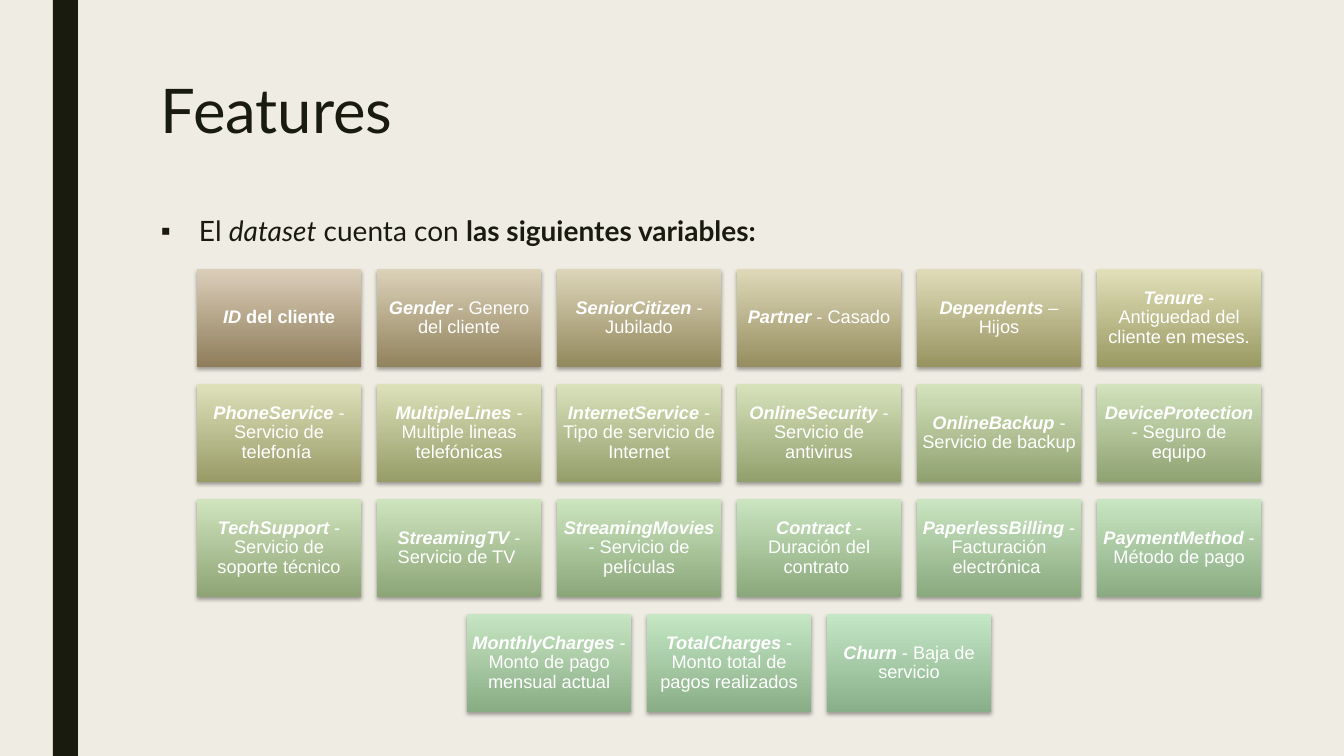
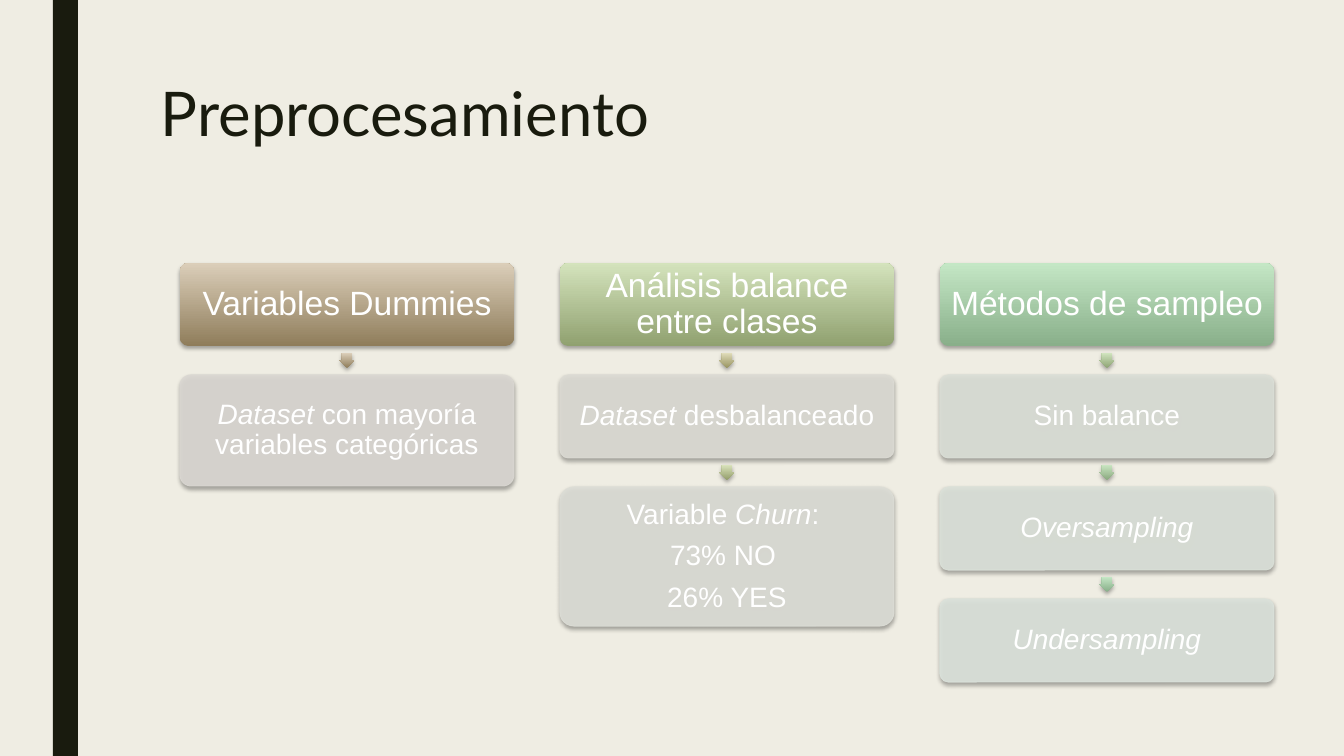
from dataclasses import dataclass

from lxml.etree import SubElement
from pptx import Presentation
from pptx.dml.color import RGBColor
from pptx.enum.shapes import MSO_SHAPE
from pptx.enum.text import MSO_ANCHOR, PP_ALIGN
from pptx.oxml.ns import qn
from pptx.presentation import Presentation as Deck
from pptx.shapes.autoshape import Shape
from pptx.slide import Slide
from pptx.text.text import TextFrame
from pptx.util import Emu, Pt

EMU_PER_PX = 914400 / 100.8


def px(length: float) -> Emu:
    return Emu(round(length * EMU_PER_PX))


@dataclass(frozen=True)
class Theme:
    paper: str = "EFEDE3"
    ink: str = "191B0E"
    white: str = "FFFFFF"
    shadow: str = "000000"
    # Dark and light ends of the gradients, evenly spaced along the ramp
    dark_ramp: tuple[str, ...] = ("8F7D5B", "9A9A63", "90A170", "8AA87C", "89AF8A")
    light_ramp: tuple[str, ...] = ("DBCEB9", "E1E0B9", "D4E3BC", "CAE5C0", "C4E7C5")
    detail_fills: tuple[str, ...] = (
        "DAD7D2", "DCDBD4", "DCDDD6", "DBDFD7", "DBE1D9", "DBE2DB")
    heading_font: str = "Lato"
    box_font: str = "Arial"
    title_size: int = 44
    lead_size: int = 20
    feature_size: int = 13
    step_size: int = 24
    detail_size: int = 20


THEME = Theme()


@dataclass(frozen=True)
class Box:
    left: float
    top: float
    width: float
    height: float


@dataclass(frozen=True)
class Run:
    text: str
    italic: bool = False
    bold: bool = False


@dataclass(frozen=True)
class TextStyle:
    font: str
    size: int
    color: str
    align: PP_ALIGN = PP_ALIGN.LEFT
    anchor: MSO_ANCHOR = MSO_ANCHOR.TOP
    line_spacing: float = 1.0
    space_after: int = 0
    inset_x: int = 10
    inset_y: int = 5


@dataclass(frozen=True)
class Feature:
    term: str
    gloss: str
    bold_gloss: bool = False


@dataclass(frozen=True)
class Detail:
    height: int
    paragraphs: tuple[tuple[Run, ...], ...]


@dataclass(frozen=True)
class Track:
    heading: str
    details: tuple[Detail, ...]


def box_style(size: int, inset: int) -> TextStyle:
    return TextStyle(THEME.box_font, size, THEME.white, PP_ALIGN.CENTER,
                     MSO_ANCHOR.MIDDLE, 0.9, 8, inset, inset)


FEATURE_STYLE = box_style(THEME.feature_size, 5)
STEP_STYLE = box_style(THEME.step_size, 3)
DETAIL_STYLE = box_style(THEME.detail_size, 3)
LEAD_STYLE = TextStyle(THEME.heading_font, THEME.lead_size, THEME.ink,
                       PP_ALIGN.JUSTIFY)

FEATURES = (
    Feature("ID", " del cliente", bold_gloss=True),
    Feature("Gender", " - Genero del cliente"),
    Feature("SeniorCitizen", " - Jubilado"),
    Feature("Partner", " - Casado"),
    Feature("Dependents", " – Hijos"),
    Feature("Tenure", " - Antiguedad del cliente en meses."),
    Feature("PhoneService", " - Servicio de telefonía "),
    Feature("MultipleLines", " - Multiple lineas telefónicas"),
    Feature("InternetService", " - Tipo de servicio de Internet"),
    Feature("OnlineSecurity", " - Servicio de antivirus"),
    Feature("OnlineBackup", " - Servicio de backup"),
    Feature("DeviceProtection", " - Seguro de equipo"),
    Feature("TechSupport", " - Servicio de soporte técnico"),
    Feature("StreamingTV", " - Servicio de TV "),
    Feature("StreamingMovies", " - Servicio de películas"),
    Feature("Contract", " - Duración del contrato "),
    Feature("PaperlessBilling", " - Facturación electrónica "),
    Feature("PaymentMethod", " - Método de pago"),
    Feature("MonthlyCharges", " - Monto de pago mensual actual"),
    Feature("TotalCharges", " - Monto total de pagos realizados"),
    Feature("Churn", " - Baja de servicio"),
)

TRACKS = (
    Track("Variables Dummies", (
        Detail(111, ((Run("Dataset", italic=True),
                      Run(" con mayoría variables categóricas")),)),
    )),
    Track("Análisis balance entre clases", (
        Detail(83, ((Run("Dataset", italic=True), Run(" desbalanceado")),)),
        Detail(139, ((Run("Variable "), Run("Churn", italic=True), Run(": ")),
                     (Run("73% NO "),),
                     (Run("26% YES"),))),
    )),
    Track("Métodos de sampleo", (
        Detail(83, ((Run("Sin balance"),),)),
        Detail(83, ((Run("Oversampling", italic=True),),)),
        Detail(83, ((Run("Undersampling", italic=True),),)),
    )),
)


def rgb(color: str) -> RGBColor:
    return RGBColor.from_string(color)


def ramp_color(stops: tuple[str, ...], share: float) -> RGBColor:
    """Blend between the two neighbouring stops; share runs from 0 to 1."""
    place = share * (len(stops) - 1)
    start = min(int(place), len(stops) - 2)
    pairs = zip(rgb(stops[start]), rgb(stops[start + 1]))
    return RGBColor(*(round(a + (b - a) * (place - start)) for a, b in pairs))


# Text
def write(frame: TextFrame, paragraphs: tuple[tuple[Run, ...], ...],
          style: TextStyle) -> None:
    frame_format = {
        "word_wrap": True,
        "vertical_anchor": style.anchor,
        "margin_left": px(style.inset_x),
        "margin_right": px(style.inset_x),
        "margin_top": px(style.inset_y),
        "margin_bottom": px(style.inset_y),
    }
    paragraph_format = {
        "alignment": style.align,
        "line_spacing": style.line_spacing,
        "space_after": Pt(style.space_after),
    }
    for name, value in frame_format.items():
        setattr(frame, name, value)
    for index, runs in enumerate(paragraphs):
        paragraph = frame.add_paragraph() if index else frame.paragraphs[0]
        for name, value in paragraph_format.items():
            setattr(paragraph, name, value)
        for run in runs:
            piece = paragraph.add_run()
            piece.text = run.text
            piece.font.color.rgb = rgb(style.color)
            font_format = {"name": style.font, "size": Pt(style.size),
                           "bold": run.bold, "italic": run.italic}
            for name, value in font_format.items():
                setattr(piece.font, name, value)


def add_text(slide: Slide, box: Box, runs: tuple[Run, ...],
             style: TextStyle) -> TextFrame:
    frame = slide.shapes.add_textbox(
        px(box.left), px(box.top), px(box.width), px(box.height)).text_frame
    write(frame, (runs,), style)
    return frame


def add_bullet(frame: TextFrame, indent: int) -> None:
    properties = frame.paragraphs[0]._p.get_or_add_pPr()
    properties.set("marL", str(px(indent)))
    properties.set("indent", str(-px(indent)))
    color = SubElement(properties, qn("a:buClr"))
    SubElement(color, qn("a:srgbClr"), val=THEME.ink)
    SubElement(properties, qn("a:buFont"), typeface=THEME.box_font)
    SubElement(properties, qn("a:buChar"), char="▪")


# Shapes
def add_shape(slide: Slide, kind: MSO_SHAPE, box: Box,
              adjustments: tuple[float, ...] = ()) -> Shape:
    shape = slide.shapes.add_shape(
        kind, px(box.left), px(box.top), px(box.width), px(box.height))
    shape.shadow.inherit = False
    shape.line.fill.background()
    for index, value in enumerate(adjustments):
        shape.adjustments[index] = value
    return shape


def add_shadow(shape: Shape) -> None:
    effects = shape._element.spPr.find(qn("a:effectLst"))
    shadow = SubElement(effects, qn("a:outerShdw"), blurRad=str(Pt(3.1)),
                        dist=str(Pt(1.8)), dir="5400000", rotWithShape="0")
    color = SubElement(shadow, qn("a:srgbClr"), val=THEME.shadow)
    SubElement(color, qn("a:alpha"), val="35000")


def add_gradient_shape(slide: Slide, kind: MSO_SHAPE, box: Box, share: float,
                       adjustments: tuple[float, ...] = ()) -> Shape:
    shape = add_shape(slide, kind, box, adjustments)
    shape.fill.gradient()
    shape.fill.gradient_angle = 90
    ramps = (THEME.dark_ramp, THEME.light_ramp)
    for stop, ramp in zip(shape.fill.gradient_stops, ramps):
        stop.color.rgb = ramp_color(ramp, share)
    add_shadow(shape)
    return shape


def add_detail_shape(slide: Slide, box: Box, color: str) -> Shape:
    shape = add_shape(slide, MSO_SHAPE.ROUNDED_RECTANGLE, box, (0.1,))
    shape.line.width = Pt(0.75)
    for fill in (shape.fill, shape.line.fill):
        fill.solid()
        fill.fore_color.rgb = rgb(color)
    for tint in shape._element.spPr.findall(".//" + qn("a:srgbClr")):
        SubElement(tint, qn("a:alpha"), val="90000")
    add_shadow(shape)
    return shape


# Shared slide frame: side band and title
def add_slide(deck: Deck, title: str, title_spacing: float) -> Slide:
    slide = deck.slides.add_slide(deck.slide_layouts[6])
    band = add_shape(slide, MSO_SHAPE.RECTANGLE, Box(53, 0, 25, 756))
    band.fill.solid()
    band.fill.fore_color.rgb = rgb(THEME.ink)
    style = TextStyle(THEME.heading_font, THEME.title_size, THEME.ink,
                      line_spacing=title_spacing)
    add_text(slide, Box(151, 76, 1058, 90), (Run(title),), style)
    return slide


def build_features(deck: Deck) -> None:
    slide = add_slide(deck, "Features", 0.89)
    lead = (Run("El "), Run("dataset", italic=True), Run(" cuenta con "),
            Run("las siguientes variables:", bold=True))
    add_bullet(add_text(slide, Box(151, 209, 1058, 45), lead, LEAD_STYLE), 38)

    # Grid of cards, each row centred
    columns, center, top = 6, 729, 269
    width, height, gap = 164, 98, 16
    for index, feature in enumerate(FEATURES):
        row, column = divmod(index, columns)
        in_row = min(columns, len(FEATURES) - row * columns)
        left = center - (in_row * (width + gap) - gap) / 2
        box = Box(left + column * (width + gap), top + row * (height + gap + 1),
                  width, height)
        card = add_gradient_shape(slide, MSO_SHAPE.RECTANGLE, box,
                                  index / (len(FEATURES) - 1))
        runs = (Run(feature.term, italic=True, bold=True),
                Run(feature.gloss, bold=feature.bold_gloss))
        write(card.text_frame, (runs,), FEATURE_STYLE)


def build_preprocessing(deck: Deck) -> None:
    slide = add_slide(deck, "Preprocesamiento", 0.94)
    left, top, width, step_height, pitch = 180, 263, 334, 83, 380
    gap, arrow = 29, 15
    fills = THEME.detail_fills
    count = 0
    for column, track in enumerate(TRACKS):
        # Step heading
        x = left + column * pitch
        step = add_gradient_shape(
            slide, MSO_SHAPE.ROUNDED_RECTANGLE, Box(x, top, width, step_height),
            column / (len(TRACKS) - 1), (0.1,))
        write(step.text_frame, ((Run(track.heading),),), STEP_STYLE)

        # Details below it, each led in by an arrow
        bottom = top + step_height
        for detail in track.details:
            arrow_box = Box(x + (width - arrow) / 2, bottom + (gap - arrow) / 2,
                            arrow, arrow)
            add_gradient_shape(slide, MSO_SHAPE.DOWN_ARROW, arrow_box,
                               count / (len(fills) - 1), (0.67, 0.5))
            box = Box(x, bottom + gap, width, detail.height)
            card = add_detail_shape(slide, box, fills[count])
            write(card.text_frame, detail.paragraphs, DETAIL_STYLE)
            bottom += gap + detail.height
            count += 1


def main() -> None:
    deck = Presentation()
    deck.slide_width, deck.slide_height = px(1344), px(756)
    background = deck.slide_master.background.fill
    background.solid()
    background.fore_color.rgb = rgb(THEME.paper)
    build_features(deck)
    build_preprocessing(deck)
    deck.save("out.pptx")


if __name__ == "__main__":
    main()
